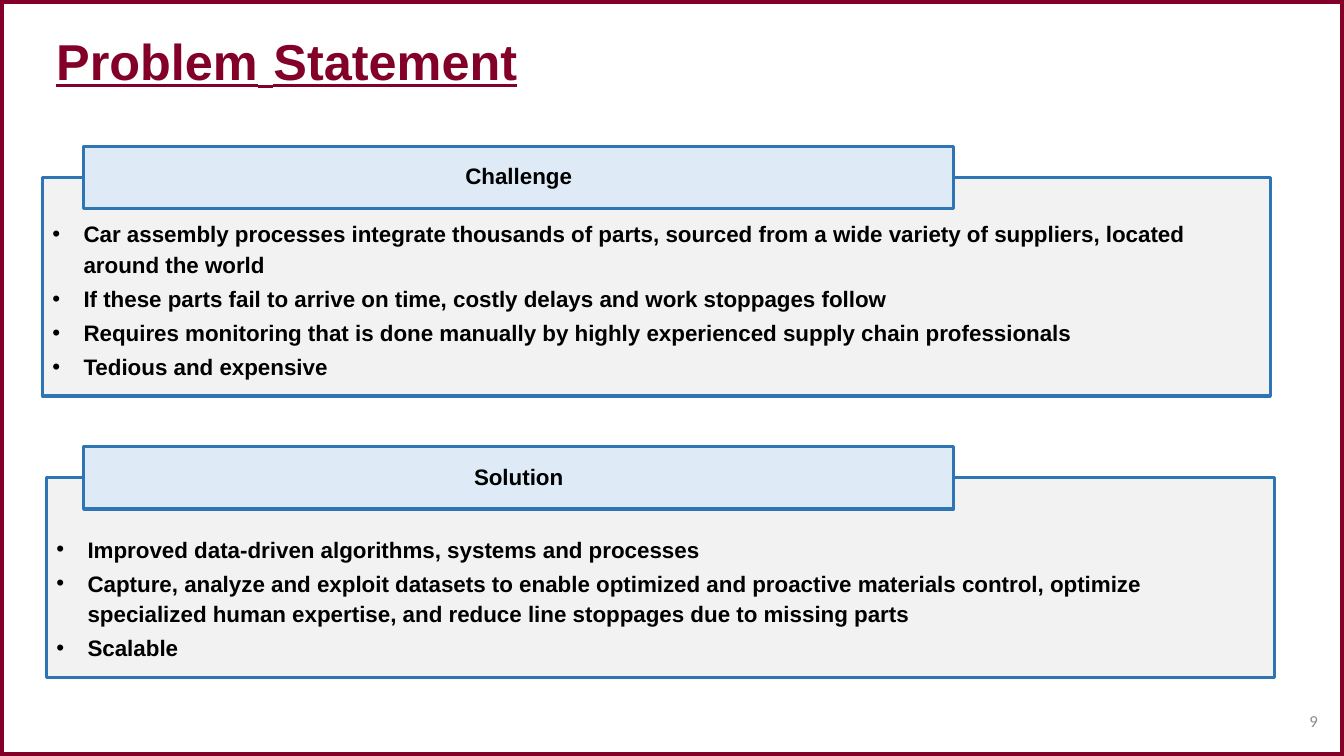
import pptx
import pptx.util
import pptx.dml.color
import pptx.enum.shapes
import pptx.enum.text
from lxml import etree

Inches = pptx.util.Inches
Pt = pptx.util.Pt
RGB = pptx.dml.color.RGBColor
ALIGN = pptx.enum.text.PP_ALIGN
ANCHOR = pptx.enum.text.MSO_ANCHOR

MAROON = RGB(0x83, 0x00, 0x28)
BLUE = RGB(0x2E, 0x75, 0xB6)
PALE = RGB(0xDE, 0xEB, 0xF7)
LIGHT = RGB(0xF2, 0xF2, 0xF2)
GRAY = RGB(0x8C, 0x8C, 0x8C)
BLACK = RGB(0, 0, 0)

TITLE = [("Problem", 36), (" ", 40), ("Statement", 36)]
NUMBER = "9"
PANELS = [
    ("Challenge", 1.45, 0.42, 2.17, [
        "Car assembly processes integrate thousands of parts, sourced from a wide variety of suppliers, located around the world",
        "If these parts fail to arrive on time, costly delays and work stoppages follow",
        "Requires monitoring that is done manually by highly experienced supply chain professionals",
        "Tedious and expensive",
    ]),
    ("Solution", 4.43, 0.46, 1.98, [
        "Improved data-driven algorithms, systems and processes",
        "Capture, analyze and exploit datasets to enable optimized and proactive materials control, optimize specialized human expertise, and reduce line stoppages due to missing parts",
        "Scalable",
    ]),
]
WIDE, HIGH = 13.33, 7.5
HEAD_LEFT, HEAD_WIDE, HEAD_HIGH = 0.83, 8.63, 0.62
BODY_WIDE, INDENT = 12.18, 0.31


def style(par, size, color, bold=True, face="Arial"):
    font = par.font
    font.name, font.bold = face, bold
    font.color.rgb = color
    if size:
        font.size = Pt(size)


def setup(shape, pads, anchor):
    frame = shape.text_frame
    frame.word_wrap = True
    frame.vertical_anchor = anchor
    (frame.margin_left, frame.margin_top,
     frame.margin_right, frame.margin_bottom) = map(Inches, pads)
    return frame


def box(left, top, wide, high, fill, line, weight):
    shape = slide.shapes.add_shape(
        pptx.enum.shapes.MSO_SHAPE.RECTANGLE, *map(Inches, (left, top, wide, high)))
    shape.shadow.inherit = False
    if fill is None:
        shape.fill.background()
    else:
        shape.fill.solid()
        shape.fill.fore_color.rgb = fill
    shape.line.color.rgb = line
    shape.line.width = Pt(weight)
    return shape


def label(left, top, wide, high):
    shape = slide.shapes.add_textbox(*map(Inches, (left, top, wide, high)))
    return setup(shape, (0.1, 0.05, 0.1, 0.05), ANCHOR.MIDDLE).paragraphs[0]


def bullet(par):
    props = par._p.get_or_add_pPr()
    props.set("marL", str(Inches(INDENT)))
    props.set("indent", str(-Inches(INDENT)))
    for tag, key, value in (("buFont", "typeface", "Arial"), ("buChar", "char", "•")):
        etree.SubElement(props, pptx.oxml.ns.qn("a:" + tag)).set(key, value)


def panel(head, top, left, high, items):
    body = box(left, top + HEAD_HIGH / 2, BODY_WIDE, high, LIGHT, BLUE, 2.25)
    frame = setup(body, (0.1, 0.1, 0.14, 0.16), ANCHOR.BOTTOM)
    for i, item in enumerate(items):
        par = frame.add_paragraph() if i else frame.paragraphs[0]
        par.text = item
        par.level = 1
        par.alignment = ALIGN.LEFT
        par.line_spacing = 1.14
        par.space_after = Pt(2.4)
        bullet(par)
        style(par, 16, BLACK)

    tab = box(HEAD_LEFT, top, HEAD_WIDE, HEAD_HIGH, PALE, BLUE, 2.25)
    par = setup(tab, (0.14, 0.08, 0.14, 0.08), ANCHOR.MIDDLE).paragraphs[0]
    par.text = head
    par.alignment = ALIGN.CENTER
    par.line_spacing = 0.9
    style(par, 16, BLACK)


deck = pptx.Presentation()
deck.slide_width, deck.slide_height = Inches(WIDE), Inches(HIGH)
slide = deck.slides.add_slide(deck.slide_layouts[6])

box(0, 0, WIDE, HIGH, None, MAROON, 6)

title = label(0.46, 0.15, 12.43, 0.93)
title.line_spacing = 0.9
style(title, None, MAROON)
title.font.underline = True
for text, size in TITLE:
    run = title.add_run()
    run.text = text
    run.font.size = Pt(size)

page = label(9.1, 6.95, 4.07, 0.4)
page.text = NUMBER
page.alignment = ALIGN.RIGHT
style(page, 12, GRAY, False, "Calibri")

for entry in PANELS:
    panel(*entry)

deck.save("out.pptx")
